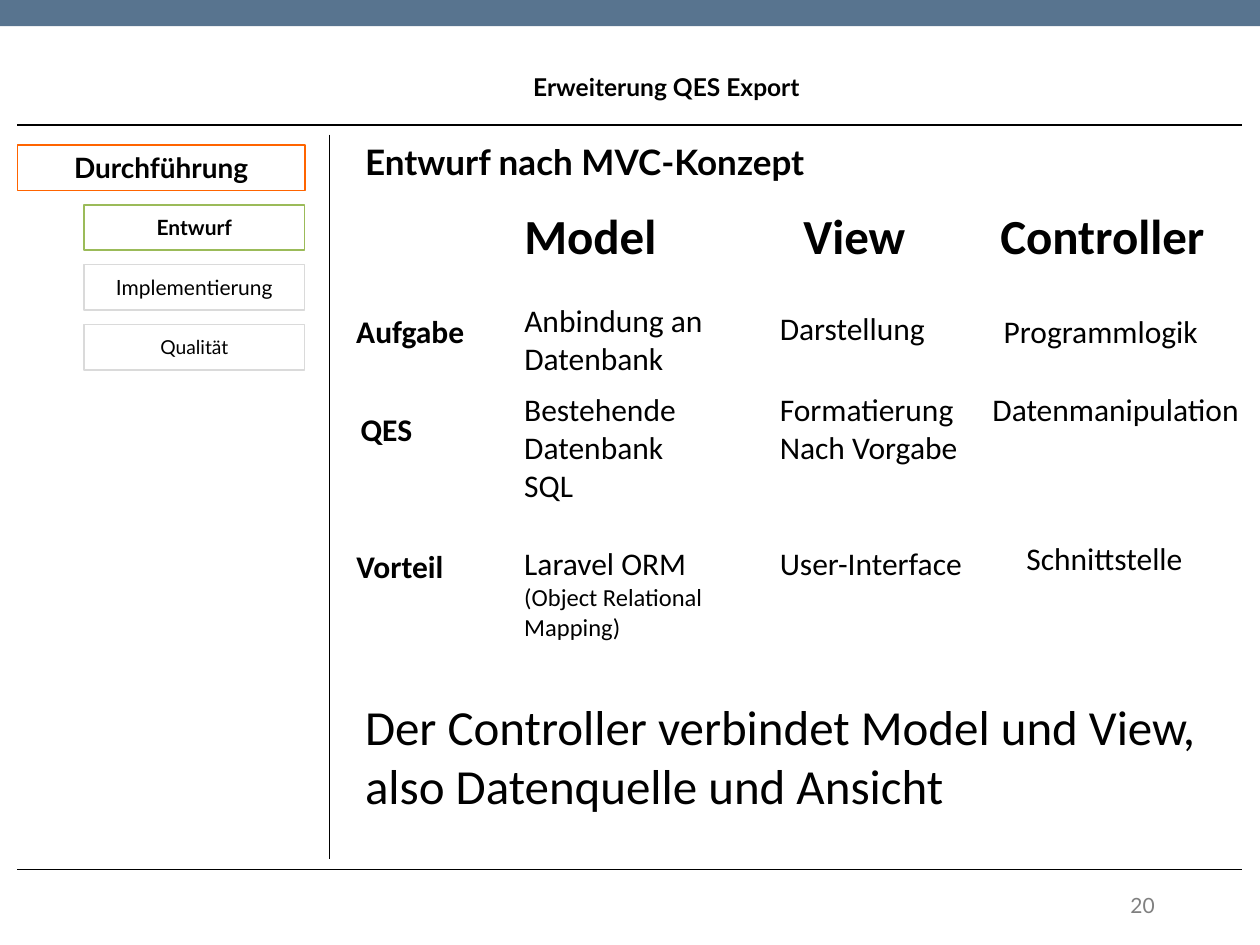
from pptx import Presentation
from pptx.dml.color import RGBColor
from pptx.enum import shapes, text
from pptx.oxml.ns import qn
from pptx.util import Pt

LEFT, CENTER, RIGHT = text.PP_ALIGN.LEFT, text.PP_ALIGN.CENTER, text.PP_ALIGN.RIGHT
TOP, MIDDLE = text.MSO_ANCHOR.TOP, text.MSO_ANCHOR.MIDDLE


def rgb(value):
    """Turn a hex string into a colour."""
    return RGBColor.from_string(value)


class Deck:
    """Hold the style and the current slide."""

    head_font, body_font = "Lato", "Calibri"
    ink, paper, bar, grey = "000000", "FFFFFF", "58748F", "808080"

    def __init__(self, prs):
        """Add a title-only slide."""
        self.s = prs.slides.add_slide(prs.slide_layouts[5])

    def set_text(self, sp, content, size, font=body_font, bold=False,
                 color=ink, align=LEFT, anchor=TOP, wrap=True):
        """Set and format the text of a shape."""
        tf = sp.text_frame
        tf.text = content
        tf.word_wrap = wrap
        tf.auto_size = text.MSO_AUTO_SIZE.NONE
        tf.vertical_anchor = anchor
        for p in tf.paragraphs:
            p.alignment = align
            for r in p.runs:
                r.font.name, r.font.size, r.font.bold = font, Pt(size), bold
                r.font.color.rgb = rgb(color)
        return tf

    def title(self, content, x, y, w, h):
        """Place the slide title."""
        sp = self.s.shapes.title
        sp.left, sp.top, sp.width, sp.height = Pt(x), Pt(y), Pt(w), Pt(h)
        self.set_text(sp, content, 14, self.head_font, True, anchor=MIDDLE)

    def label(self, content, x, y, w, h, size, **style):
        """Add a text box."""
        sp = self.s.shapes.add_textbox(Pt(x), Pt(y), Pt(w), Pt(h))
        return self.set_text(sp, content, size, **style)

    def rect(self, x, y, w, h, fill, line=None):
        """Add a flat rectangle."""
        sp = self.s.shapes.add_shape(shapes.MSO_SHAPE.RECTANGLE, Pt(x), Pt(y), Pt(w), Pt(h))
        sp.shadow.inherit = False
        sp.fill.solid()
        sp.fill.fore_color.rgb = rgb(fill)
        if line:
            sp.line.color.rgb = rgb(line)
            sp.line.width = Pt(0.85)
        else:
            sp.line.fill.background()
        return sp

    def nav(self, content, x, y, w, line, size, bold):
        """Add a box of the side navigation."""
        sp = self.rect(x, y, w, 26, self.paper, line)
        self.set_text(sp, content, size, self.head_font, bold, align=CENTER, anchor=MIDDLE)

    def rule(self, x1, y1, x2, y2):
        """Add a thin straight line."""
        c = self.s.shapes.add_connector(shapes.MSO_CONNECTOR.STRAIGHT, Pt(x1), Pt(y1), Pt(x2), Pt(y2))
        c.line.color.rgb = rgb(self.ink)
        c.line.width = Pt(0.75)
        pr = c._element.spPr
        pr.append(pr.makeelement(qn("a:effectLst"), {}))


def main():
    """Build the slide."""
    prs = Presentation()
    prs.slide_width, prs.slide_height = Pt(720), Pt(540)
    d = Deck(prs)

    d.rect(0, 0, 720, 15, d.bar)
    d.title("Erweiterung QES Export", 297.5, 27.5, 417.5, 44)
    d.rule(10, 71.5, 710, 71.5)
    d.rule(10, 497, 710, 497)
    d.rule(188.5, 77, 188.5, 491)
    d.label("20", 513.5, 502.5, 153.5, 29, 12, font=d.head_font,
            color=d.grey, align=RIGHT, anchor=MIDDLE)

    steps = [("Durchführung", 10, "FF6400", 16, True),
             ("Entwurf", 48, "9BBB59", 12, True),
             ("Implementierung", 48, "DADADA", 12, False),
             ("Qualität", 48, "DADADA", 11, False)]
    for i, (name, x, line, size, bold) in enumerate(steps):
        d.nav(name, x, 82.8 + 34.2 * i, 174.2 - x, line, size, bold)

    d.label("Entwurf nach MVC-Konzept", 201.5, 77, 513.5, 32, 20, font=d.head_font, bold=True)

    for name, x, w in [("Model", 292.5, 104), ("View", 452, 86), ("Controller", 564.5, 145)]:
        d.label(name, x, 114, w, 41, 28, bold=True)

    for name, x, y, w in [("Aufgabe", 196.5, 174.5, 77), ("QES", 199, 230.5, 44),
                          ("Vorteil", 196.5, 309, 65)]:
        d.label(name, x, y, w, 29, 18, bold=True, wrap=False)

    cells = [("Anbindung an\nDatenbank", 292.5, 168.5, 118),
             ("Darstellung", 438.5, 173, 99),
             ("Programmlogik", 566.5, 174.5, 127),
             ("Bestehende\nDatenbank\nSQL", 292.5, 219.5, 141),
             ("Formatierung\nNach Vorgabe", 438.5, 219.5, 120),
             ("Datenmanipulation", 560, 219.5, 157),
             ("User-Interface", 438.5, 307.5, 120),
             ("Schnittstelle", 579.5, 304.5, 105)]
    for content, x, y, w in cells:
        d.label(content, x, y, w, 7 + 22 * len(content.split("\n")), 18)

    tf = d.label("Laravel ORM\n(Object Relational\nMapping)", 292.5, 307.5, 141, 63, 14)
    tf.paragraphs[0].runs[0].font.size = Pt(18)

    d.label("Der Controller verbindet Model und View,\nalso Datenquelle und Ansicht",
            201.5, 394.5, 494, 75, 28, wrap=False)

    prs.save("out.pptx")


if __name__ == "__main__":
    main()
